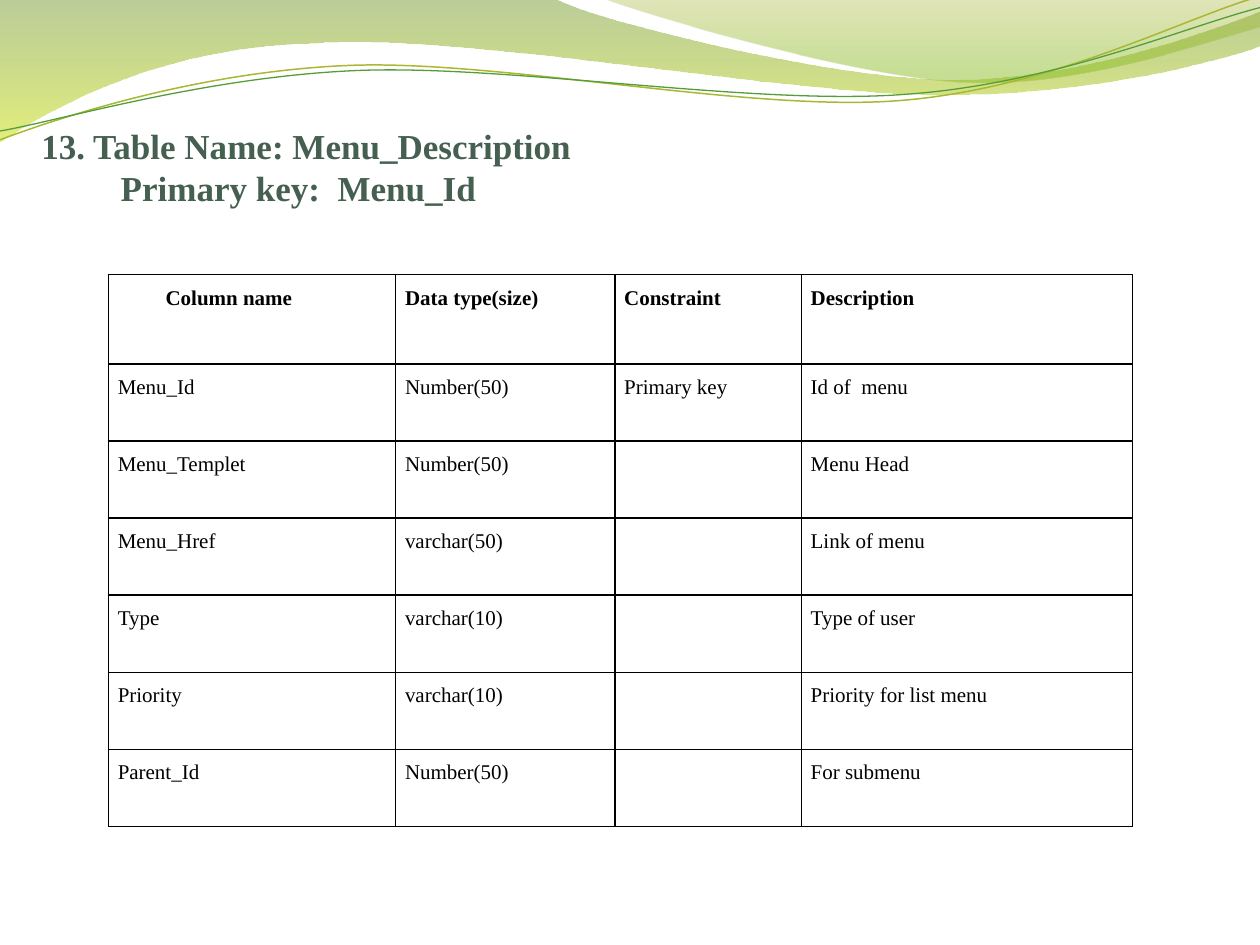
"""Build the Menu_Description table slide with its green wave header."""
from math import cos, radians, sin

from lxml.etree import SubElement
from pptx import Presentation
from pptx.dml.color import RGBColor
from pptx.enum.text import MSO_ANCHOR, MSO_AUTO_SIZE, PP_ALIGN
from pptx.oxml.ns import qn
from pptx.util import Inches, Pt

FONT = "Times New Roman"
TITLE_LINES = [("13. Table Name: Menu_Description", 0), ("Primary key:  Menu_Id", 0.63)]
COLUMN_WIDTHS = [2.28, 1.74, 1.48, 2.63]
TABLE_HEIGHT, HEADER_HEIGHT = 4.38, 0.71
ROWS = [
    ("Column name", "Data type(size)", "Constraint", "Description"),
    ("Menu_Id", "Number(50)", "Primary key", "Id of  menu"),
    ("Menu_Templet", "Number(50)", "", "Menu Head"),
    ("Menu_Href", "varchar(50)", "", "Link of menu"),
    ("Type", "varchar(10)", "", "Type of user"),
    ("Priority", "varchar(10)", "", "Priority for list menu"),
    ("Parent_Id", "Number(50)", "", "For submenu"),
]
BANDS = [
    {
        "frame": (-0.01, -0.01, 10.02, 1.14),
        "segments": [
            (0, 0), (4.4, -0.01),
            (4.75, 0.17, 6.63, 0.63, 7.58, 0.63), (8.53, 0.63, 9.58, 0.26, 10, 0.09),
            (10.01, 0.36),
            (9.83, 0.44, 8.69, 0.76, 7.46, 0.75), (6.22, 0.75, 3.81, 0.28, 2.57, 0.34),
            (1.29, 0.36, 0.46, 0.83, -0.01, 1.13), (0, 0),
        ],
        "stops": [(0, "69921C", 45), (1, "CCE10F", 55)],
    },
    {
        "frame": (4.79, -0.01, 5.21, 0.7),
        "segments": [
            (4.79, -0.01),
            (5.09, 0.11, 6.82, 0.62, 7.68, 0.65), (8.55, 0.69, 9.61, 0.32, 10, 0.21),
            (10, 0), (4.79, -0.01),
        ],
        "stops": [(0, "9BAA1A", 30), (0.8, "81BA16", 45)],
    },
]
WAVE_ROTATION = 357.3
WAVES = [
    {
        "frame": (-0.02, 0.22, 10.02, 0.71),
        "segments": [
            (0, 1.11), (0.48, 0.93, 1.57, 0.57, 2.76, 0.52),
            (3.95, 0.47, 5.92, 0.89, 7.12, 0.8), (8.33, 0.71, 9.38, 0.15, 9.97, -0.02),
        ],
        "color": "A9B733", "width": 0.85,
    },
    {
        "frame": (-0.02, 0.3, 10.03, 0.58),
        "segments": [
            (0, 1.04), (0.47, 0.96, 1.63, 0.61, 2.83, 0.56),
            (4.02, 0.51, 5.97, 0.84, 7.17, 0.75), (8.36, 0.67, 9.41, 0.21, 10, 0.06),
        ],
        "color": "549E39", "width": 0.75,
    },
]


def rgb(value):
    return RGBColor.from_string(value)


def to_frame(x, y, frame, rotation):
    left, top, width, height = frame
    angle = radians(-rotation)
    dx, dy = x - left - width / 2, y - top - height / 2
    return (Inches(width / 2 + dx * cos(angle) - dy * sin(angle)),
            Inches(height / 2 + dx * sin(angle) + dy * cos(angle)))


def add_outline(slide, frame, segments, rotation=0, close=False):
    left, top, width, height = (Inches(length) for length in frame)
    builder = slide.shapes.build_freeform(left, top)
    builder.add_line_segments([(left + width, top + height)], close=False)
    shape = builder.convert_to_shape()
    shape.rotation = rotation
    shape.shadow.inherit = False
    outline = next(shape.element.spPr.iter(qn("a:path")))
    for child in list(outline):
        outline.remove(child)
    for index, segment in enumerate(segments):
        kind = "cubicBezTo" if len(segment) == 6 else "lnTo" if index else "moveTo"
        command = SubElement(outline, qn(f"a:{kind}"))
        for point in zip(segment[::2], segment[1::2]):
            x, y = to_frame(*point, frame, rotation)
            SubElement(command, qn("a:pt"), x=str(x), y=str(y))
    if close:
        SubElement(outline, qn("a:close"))
    return shape


def add_band(slide, frame, segments, stops):
    shape = add_outline(slide, frame, segments, close=True)
    shape.line.fill.background()
    shape.fill.gradient()
    shape.fill.gradient_angle = 270
    for gradient_stop, (position, color, _) in zip(shape.fill.gradient_stops, stops):
        gradient_stop.position = position
        gradient_stop.color.rgb = rgb(color)
    colors = shape.element.spPr.iter(qn("a:srgbClr"))
    for element, (_, _, opacity) in zip(colors, stops):
        SubElement(element, qn("a:alpha"), val=str(opacity * 1000))


def add_wave(slide, frame, segments, color, width):
    shape = add_outline(slide, frame, segments, rotation=WAVE_ROTATION)
    shape.fill.background()
    shape.line.color.rgb = rgb(color)
    shape.line.width = Pt(width)


def write(paragraph, text, size=12, color="000000", bold=False, indent=0,
          align=None, spacing=None, after=None):
    if indent:
        paragraph._p.get_or_add_pPr().set("marL", str(Inches(indent)))
    paragraph.alignment = align
    paragraph.line_spacing = spacing
    paragraph.space_after = after
    run = paragraph.add_run()
    run.text = text
    run.font.name = FONT
    run.font.size = Pt(size)
    run.font.bold = bold
    run.font.color.rgb = rgb(color)


def format_cell(cell):
    cell.margin_left = cell.margin_right = Pt(5.4)
    cell.margin_top = cell.margin_bottom = 0
    properties = cell._tc.get_or_add_tcPr()
    for side in ("L", "R", "T", "B"):
        border = SubElement(properties, qn(f"a:ln{side}"), w=str(Pt(1)))
        SubElement(SubElement(border, qn("a:solidFill")), qn("a:srgbClr"), val="000000")
    cell.fill.solid()
    cell.fill.fore_color.rgb = rgb("FFFFFF")


def add_column_table(slide):
    body_rows = len(ROWS) - 1
    heights = [HEADER_HEIGHT] + [(TABLE_HEIGHT - HEADER_HEIGHT) / body_rows] * body_rows
    table = slide.shapes.add_table(
        len(ROWS), len(COLUMN_WIDTHS), Inches(0.86), Inches(2.18),
        Inches(sum(COLUMN_WIDTHS)), Inches(TABLE_HEIGHT)).table
    table.horz_banding = False
    for column, width in zip(table.columns, COLUMN_WIDTHS):
        column.width = Inches(width)
    for row_index, (row, height) in enumerate(zip(ROWS, heights)):
        table.rows[row_index].height = Inches(height)
        for column_index, text in enumerate(row):
            cell = table.cell(row_index, column_index)
            format_cell(cell)
            if text:
                write(cell.text_frame.paragraphs[0], text, bold=row_index == 0,
                      indent=0.38 if row_index == column_index == 0 else 0,
                      align=PP_ALIGN.JUSTIFY, spacing=1.5, after=Pt(10))


def add_title(slide):
    box = slide.shapes.add_textbox(Inches(0.23), Inches(0.94), Inches(4.44), Inches(0.77))
    frame = box.text_frame
    frame.word_wrap = False
    frame.auto_size = MSO_AUTO_SIZE.SHAPE_TO_FIT_TEXT
    frame.vertical_anchor = MSO_ANCHOR.MIDDLE
    for index, (text, indent) in enumerate(TITLE_LINES):
        paragraph = frame.add_paragraph() if index else frame.paragraphs[0]
        write(paragraph, text, size=20, color="455F51", bold=True, indent=indent)


def main():
    presentation = Presentation()
    presentation.slide_width, presentation.slide_height = Inches(10), Inches(7.5)
    slide = presentation.slides.add_slide(presentation.slide_layouts[6])
    for band in BANDS:
        add_band(slide, **band)
    for wave in WAVES:
        add_wave(slide, **wave)
    add_column_table(slide)
    add_title(slide)
    presentation.save("out.pptx")


if __name__ == "__main__":
    main()
